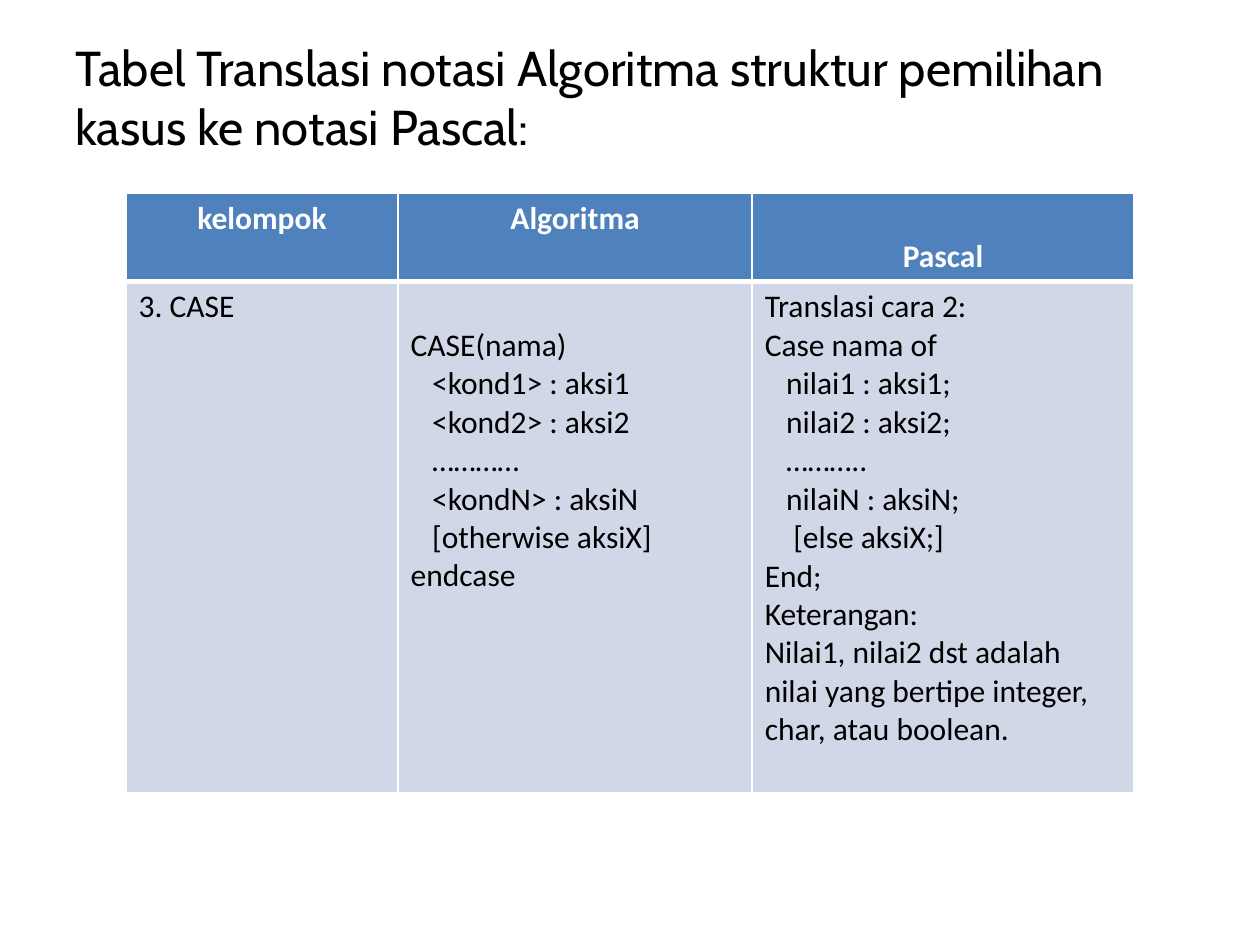
from lxml.etree import SubElement
from pptx import Presentation
from pptx.dml.color import RGBColor
from pptx.enum.text import PP_ALIGN as Align
from pptx.oxml.ns import qn
from pptx.util import Inches, Pt

WHITE = RGBColor(0xFF, 0xFF, 0xFF)
BLACK = RGBColor(0x00, 0x00, 0x00)
HEADER_BLUE = RGBColor(0x4F, 0x81, 0xBD)
BODY_BLUE = RGBColor(0xD0, 0xD8, 0xE8)

TITLE = "Tabel Translasi notasi Algoritma struktur pemilihan kasus ke notasi Pascal:"
COLUMNS = [2.16, 2.81, 3.03]
ROWS = [0.7, 4.06]
TOP_INSET = 0.05
LINE = 0.305
SPACE = 0.0565

HEADERS = [(0, "kelompok"), (0, "Algoritma"), (1, "Pascal")]
BODIES = [
    (0, [(0, "3. CASE")]),
    (1, [
        (0, "CASE(nama)"),
        (3, "<kond1> : aksi1"),
        (3, "<kond2> : aksi2"),
        (3, "…………"),
        (3, "<kondN> : aksiN"),
        (3, "[otherwise aksiX]"),
        (0, "endcase"),
    ]),
    (0, [
        (0, "Translasi cara 2:"),
        (0, "Case nama of"),
        (3, "nilai1 : aksi1;"),
        (3, "nilai2 : aksi2;"),
        (3, "……….."),
        (3, "nilaiN : aksiN;"),
        (4, "[else aksiX;]"),
        (0, "End;"),
        (0, "Keterangan:"),
        (0, "Nilai1, nilai2 dst adalah nilai yang bertipe integer, char, atau boolean."),
    ]),
]


def style(para, name, size, color, bold=False):
    """Set the font of a whole paragraph."""
    font = para.font
    font.name, font.size, font.bold = name, Pt(size), bold
    font.color.rgb = color


def add_borders(cell, top, bottom):
    """Draw white cell borders, one point wide at the sides."""
    properties = cell._tc.get_or_add_tcPr()
    for side, width in (("L", 1), ("R", 1), ("T", top), ("B", bottom)):
        line = SubElement(properties, qn(f"a:ln{side}"), w=str(Pt(width)))
        fill = SubElement(line, qn("a:solidFill"))
        SubElement(fill, qn("a:srgbClr"), val=str(WHITE))


def fill_cell(cell, skipped, lines, back, color, bold, align):
    """Write indented lines into a cell, starting below the skipped lines."""
    cell.fill.solid()
    cell.fill.fore_color.rgb = back
    cell.margin_top = Inches(TOP_INSET + skipped * LINE)
    frame = cell.text_frame
    for number, (spaces, text) in enumerate(lines):
        para = frame.add_paragraph() if number else frame.paragraphs[0]
        para.text, para.alignment = text, align
        para._p.get_or_add_pPr().set("marL", str(Inches(spaces * SPACE)))
        style(para, "Calibri", 18, color, bold)


def add_title(page, left, top, width, height):
    """Place the heading text in its box."""
    box = page.shapes.add_textbox(left, top, width, height)
    frame = box.text_frame
    frame.word_wrap = True
    para = frame.paragraphs[0]
    para.text = TITLE
    style(para, "Cabin", 28, BLACK)


def add_translation_table(page, left, top, width, height):
    """Place the translation table, sharing the box among columns and rows."""
    table = page.shapes.add_table(len(ROWS), len(COLUMNS), left, top, width, height).table
    for column, share in zip(table.columns, COLUMNS):
        column.width = int(width * share / sum(COLUMNS))
    for row, share in zip(table.rows, ROWS):
        row.height = int(height * share / sum(ROWS))
    for index, ((skipped, text), (gap, lines)) in enumerate(zip(HEADERS, BODIES)):
        header, body = table.cell(0, index), table.cell(1, index)
        add_borders(header, 1, 3)
        add_borders(body, 3, 1)
        fill_cell(header, skipped, [(0, text)], HEADER_BLUE, WHITE, True, Align.CENTER)
        fill_cell(body, gap, lines, BODY_BLUE, BLACK, False, Align.LEFT)


def main():
    """Build the slide and save it."""
    deck = Presentation()
    deck.slide_width, deck.slide_height = Inches(10), Inches(7.5)
    page = deck.slides.add_slide(deck.slide_layouts[6])
    add_title(page, Inches(0.5), Inches(0.25), Inches(9), Inches(6.75))
    add_translation_table(page, Inches(1), Inches(1.53), Inches(sum(COLUMNS)), Inches(sum(ROWS)))
    deck.save("out.pptx")


if __name__ == "__main__":
    main()
